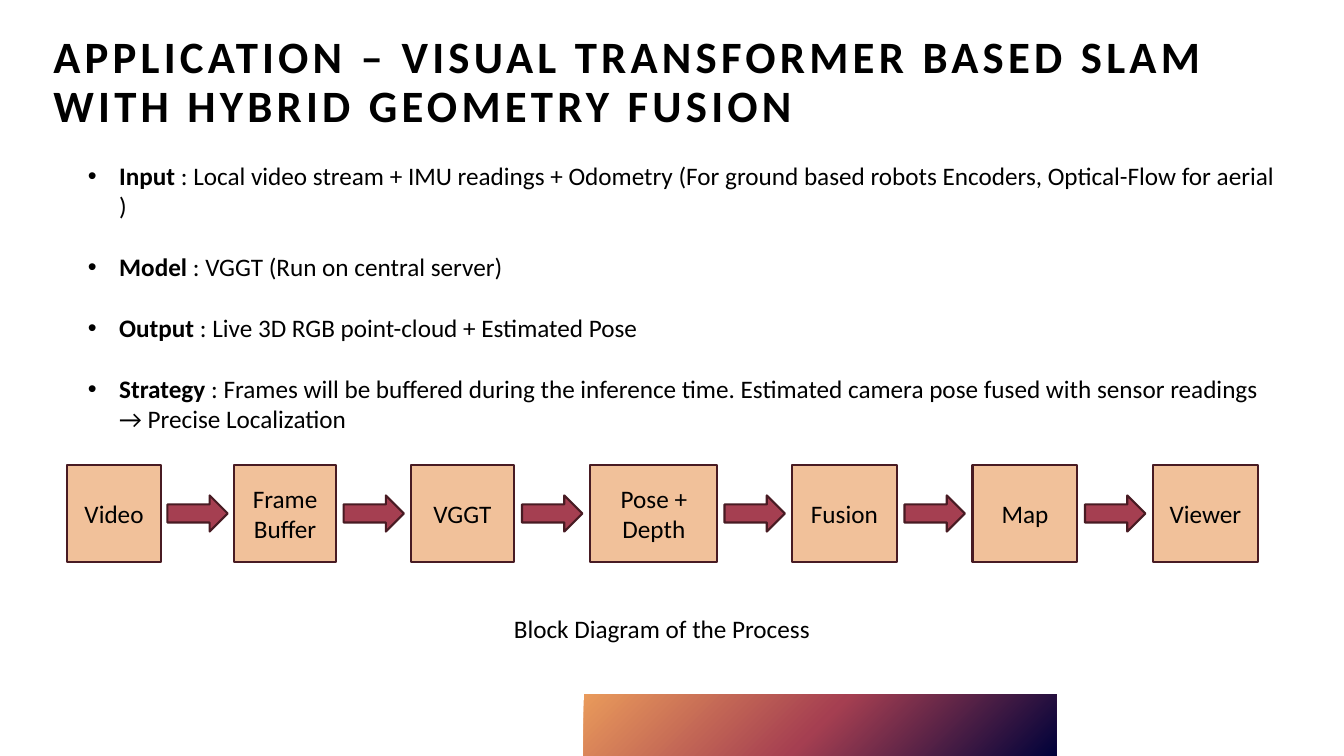
from copy import deepcopy
from itertools import pairwise

from lxml import etree
from pptx import Presentation
from pptx.dml.color import RGBColor
from pptx.enum.shapes import MSO_SHAPE
from pptx.enum.text import MSO_ANCHOR, MSO_AUTO_SIZE, PP_ALIGN
from pptx.oxml.ns import qn
from pptx.util import Cm, Pt

RECTANGLE, ARROW = MSO_SHAPE.RECTANGLE, MSO_SHAPE.RIGHT_ARROW
LEFT, CENTER = PP_ALIGN.LEFT, PP_ALIGN.CENTER
TOP, MIDDLE = MSO_ANCHOR.TOP, MSO_ANCHOR.MIDDLE
FIXED = MSO_AUTO_SIZE.NONE

BULLETS = [
    ("Input ", ": Local video stream + IMU readings + Odometry (For ground based robots "
               "Encoders, Optical-Flow for aerial )"),
    ("Model", " : VGGT (Run on central server)"),
    ("Output", " : Live 3D RGB point-cloud + Estimated Pose"),
    ("Strategy ", ": Frames will be buffered during the inference time. Estimated camera "
                  "pose fused with sensor readings → Precise Localization"),
]
# label, left and width in cm
STAGES = [
    ("Video", 1.68, 2.39),
    ("Frame Buffer", 5.89, 2.59),
    ("VGGT", 10.36, 2.59),
    ("Pose + Depth", 14.88, 3.2),
    ("Fusion", 19.96, 2.64),
    ("Map", 24.51, 2.64),
    ("Viewer", 29.06, 2.64),
]
STAGE_TOP, STAGE_HEIGHT = 11.71, 2.46
ARROW_WIDTH, ARROW_HEIGHT = 1.52, 0.91


def color(code):
    return RGBColor.from_string(code)


class ProcessSlide:
    font_name = "Calibri"
    text_size = 18
    ink = "000000"
    outline = "481B23"
    stage_fill = "F1C19A"
    arrow_fill = "A53F51"

    def __init__(self, deck):
        self.page = deck.slides.add_slide(deck.slide_layouts[1])

    def place(self, box, left, top, width, height):
        box.left, box.top = Cm(left), Cm(top)
        box.width, box.height = Cm(width), Cm(height)

    def prepare_frame(self, box, anchor):
        frame = box.text_frame
        frame.word_wrap = True
        frame.auto_size = FIXED
        frame.vertical_anchor = anchor
        return frame

    def style(self, paragraph, align=LEFT, size=None):
        paragraph.alignment = align
        font = paragraph.font
        font.name = self.font_name
        font.size = Pt(size or self.text_size)
        font.color.rgb = color(self.ink)

    def title(self, text, *area):
        box = self.page.shapes.title
        self.place(box, *area)
        frame = self.prepare_frame(box, MIDDLE)
        frame.margin_bottom = 0
        paragraph = frame.paragraphs[0]
        span = paragraph.add_run()
        span.text = text
        span.font._element.set("spc", "300")
        self.style(paragraph, size=32)
        paragraph.font.bold = True
        paragraph.line_spacing = 0.9

    def bullets(self, items, *area):
        box = self.page.placeholders[1]
        self.place(box, *area)
        frame = self.prepare_frame(box, TOP)
        for index, (term, detail) in enumerate(items):
            paragraph = frame.add_paragraph() if index else frame.paragraphs[0]
            paragraph.space_before = Pt(22 if index else 0)
            self.add_bullet(paragraph)
            self.style(paragraph)
            for text, bold in ((term, True), (detail, False)):
                span = paragraph.add_run()
                span.text = text
                span.font.bold = bold

    def add_bullet(self, paragraph):
        properties = paragraph._p.get_or_add_pPr()
        properties.set("marL", str(Cm(0.79)))
        properties.set("indent", str(Cm(-0.79)))
        tint = etree.SubElement(properties, qn("a:buClr"))
        etree.SubElement(tint, qn("a:srgbClr")).set("val", self.ink)
        etree.SubElement(properties, qn("a:buFont")).set("typeface", "Arial")
        etree.SubElement(properties, qn("a:buChar")).set("char", "•")

    def shape(self, kind, fill, *area):
        box = self.page.shapes.add_shape(kind, *map(Cm, area))
        box.shadow.inherit = False
        box.fill.solid()
        box.fill.fore_color.rgb = color(fill)
        box.line.color.rgb = color(self.outline)
        box.line.width = Pt(1.5)
        return box

    def stage(self, label, left, width):
        box = self.shape(RECTANGLE, self.stage_fill, left, STAGE_TOP, width, STAGE_HEIGHT)
        frame = self.prepare_frame(box, MIDDLE)
        frame.text = label
        self.style(frame.paragraphs[0], CENTER)

    def arrow_between(self, start, end):
        left = (start + end - ARROW_WIDTH) / 2
        top = STAGE_TOP + (STAGE_HEIGHT - ARROW_HEIGHT) / 2
        self.shape(ARROW, self.arrow_fill, left, top, ARROW_WIDTH, ARROW_HEIGHT)

    def caption(self, text, *area):
        box = self.page.shapes.add_textbox(*map(Cm, area))
        frame = self.prepare_frame(box, TOP)
        frame.text = text
        self.style(frame.paragraphs[0])

    def gradient_band(self, codes, *area):
        """Draw a band shaded diagonally through three evenly spaced colours."""
        band = self.shape(RECTANGLE, codes[0], *area)
        band.line.fill.background()
        band.fill.gradient()
        band.fill.gradient_angle = 315
        stop_list = band._element.spPr.find(qn("a:gradFill")).find(qn("a:gsLst"))
        stop_list.insert(1, deepcopy(stop_list[0]))
        for index, (stop, code) in enumerate(zip(band.fill.gradient_stops, codes)):
            stop.position = index / 2
            stop.color.rgb = color(code)


def main():
    deck = Presentation()
    deck.slide_width, deck.slide_height = Cm(33.87), Cm(19.05)
    slide = ProcessSlide(deck)
    slide.gradient_band(["E99A5B", "A53F51", "00023A"], 14.71, 17.5, 11.91, 1.55)
    slide.title("APPLICATION – VISUAL TRANSFORMER BASED SLAM WITH HYBRID GEOMETRY FUSION",
                1.09, -0.33, 30.81, 4.75)
    slide.bullets(BULLETS, 1.96, 3.91, 30.43, 7.11)
    for stage in STAGES:
        slide.stage(*stage)
    for (_, left, width), (_, next_left, _) in pairwise(STAGES):
        slide.arrow_between(left + width, next_left)
    slide.caption("Block Diagram of the Process", 12.7, 15.32, 8.46, 1.78)
    deck.save("out.pptx")


if __name__ == "__main__":
    main()
